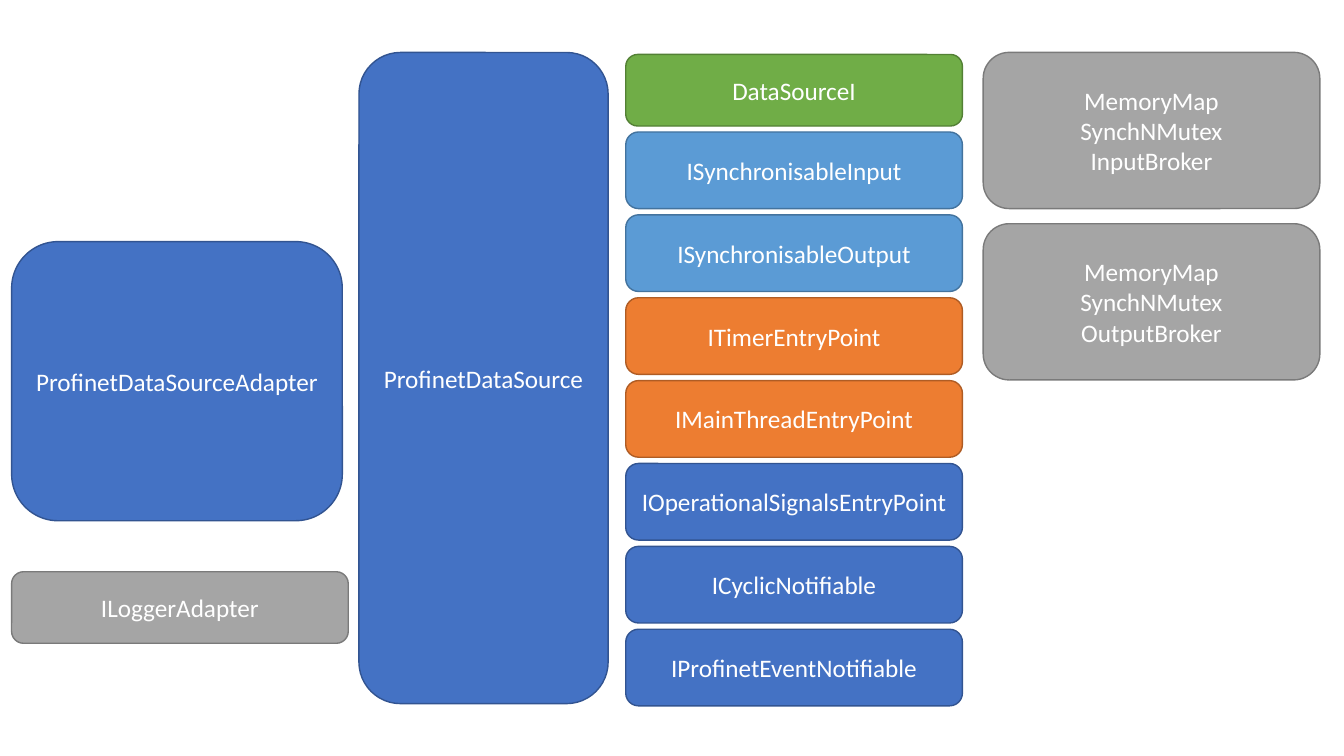
from pptx import Presentation
from pptx.dml.color import RGBColor
from pptx.enum import shapes, text
from pptx.util import Pt

COLORS = {
    "blue": "4472C4", "blue line": "325491",
    "green": "70AD47", "green line": "538035",
    "sky": "5B9BD5", "sky line": "43739E",
    "orange": "ED7D31", "orange line": "AF5C24",
    "gray": "A5A5A5", "gray line": "7A7A7A",
    "text": "FFFFFF",
}
INTERFACES = [
    ("ISynchronisableInput", "sky"),
    ("ISynchronisableOutput", "sky"),
    ("ITimerEntryPoint", "orange"),
    ("IMainThreadEntryPoint", "orange"),
    ("IOperationalSignalsEntryPoint", "blue"),
    ("ICyclicNotifiable", "blue"),
    ("IProfinetEventNotifiable", "blue"),
]


def color(name):
    return RGBColor.from_string(COLORS[name])


def add_block(s, label, fill, x, y, w, h):
    """Rounded block with one centred paragraph per line of the label."""
    sp = s.shapes.add_shape(shapes.MSO_SHAPE.ROUNDED_RECTANGLE,
                            Pt(x), Pt(y), Pt(w), Pt(h))
    sp.shadow.inherit = False
    sp.fill.solid()
    sp.fill.fore_color.rgb = color(fill)
    sp.line.color.rgb = color(fill + " line")
    sp.line.width = Pt(1)
    tf = sp.text_frame
    tf.text = label
    tf.word_wrap = True
    tf.vertical_anchor = text.MSO_ANCHOR.MIDDLE
    for p in tf.paragraphs:
        p.alignment = text.PP_ALIGN.CENTER
        for r in p.runs:
            r.font.name = "Calibri"
            r.font.size = Pt(18)
            r.font.color.rgb = color("text")


def add_adapters(s, x, y, w):
    """Data source adapter above the logger adapter."""
    add_block(s, "ProfinetDataSourceAdapter", "blue", x, y, w - 4.3, 199.4)
    add_block(s, "ILoggerAdapter", "gray", x, y + 235.8, w, 51.1)


def add_interfaces(s, x, y, w, h):
    """Base class, then the interfaces at an even pitch down to the bottom."""
    row, first = 54.7, 55.4
    pitch = (h - first - row) / (len(INTERFACES) - 1)
    add_block(s, "DataSourceI", "green", x, y, w, 51.1)
    for i, (label, fill) in enumerate(INTERFACES):
        add_block(s, label, fill, x, y + first + i * pitch, w, row)


def add_brokers(s, x, y, w):
    """Input and output brokers, one above the other."""
    for i, kind in enumerate(("Input", "Output")):
        add_block(s, f"MemoryMap\nSynchNMutex\n{kind}Broker", "gray",
                  x, y + i * 122.4, w, 111.6)


def main():
    prs = Presentation()
    prs.slide_width, prs.slide_height = Pt(960), Pt(540)
    s = prs.slides.add_slide(prs.slide_layouts[6])

    # Columns from left to right
    add_adapters(s, 8.3, 172.6, 240.5)
    add_block(s, "ProfinetDataSource", "blue", 256.4, 37.5, 178, 465.1)
    add_interfaces(s, 447, 38.9, 240.5, 465.3)
    add_brokers(s, 702.3, 37.4, 240.5)

    prs.save("out.pptx")


if __name__ == "__main__":
    main()
